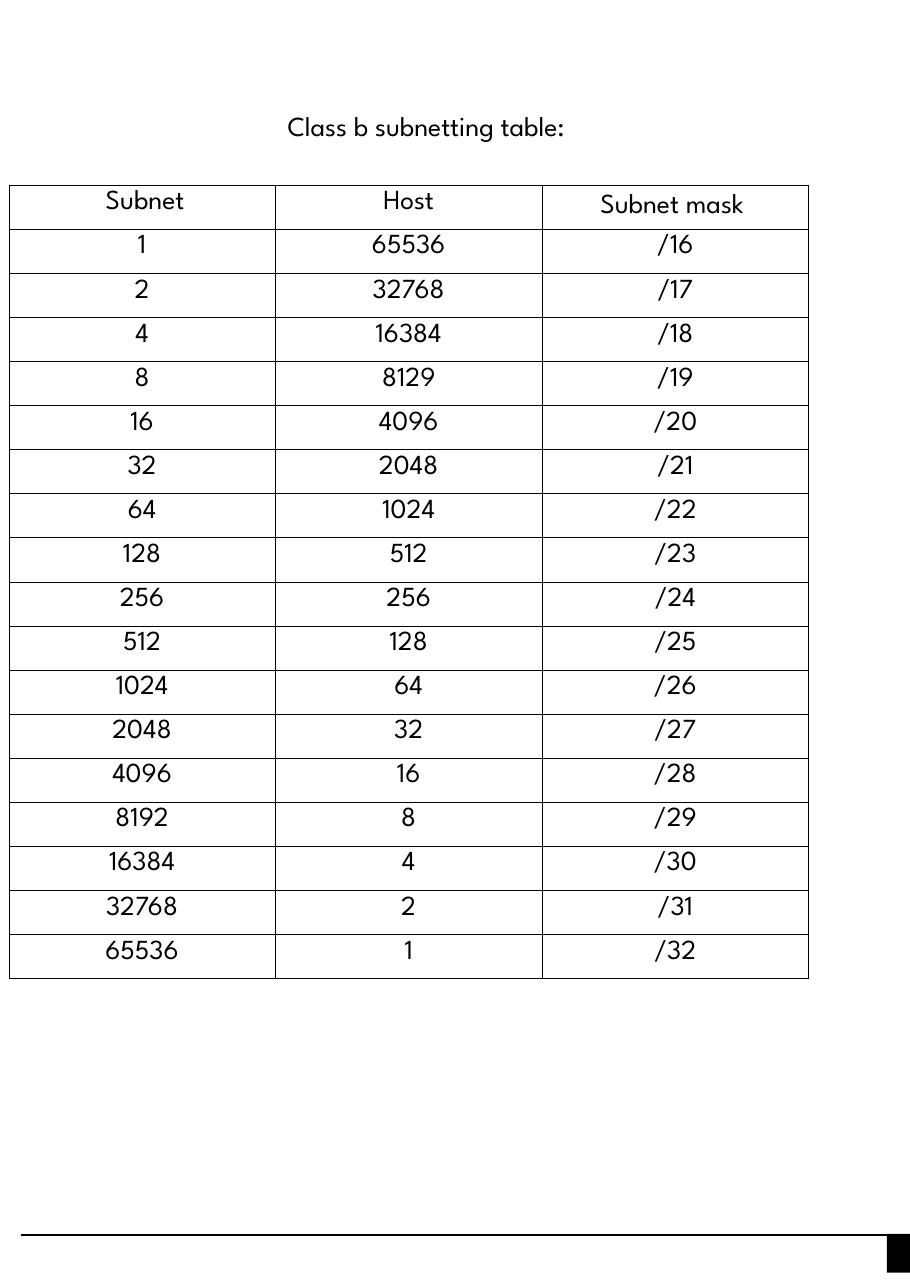
from lxml.etree import SubElement
from pptx import Presentation
from pptx.dml.color import RGBColor
from pptx.enum.shapes import MSO_CONNECTOR, MSO_SHAPE
from pptx.enum.text import MSO_ANCHOR, MSO_AUTO_SIZE, PP_ALIGN
from pptx.oxml import parse_xml
from pptx.oxml.ns import nsdecls, qn
from pptx.util import Inches, Pt

BLACK = "000000"


def color(value):
    return RGBColor.from_string(value)


def write(paragraph, text, alignment):
    paragraph.text = text
    paragraph.alignment = alignment
    paragraph.font.name = "League Spartan"
    paragraph.font.size = Pt(18)
    paragraph.font.color.rgb = color(BLACK)


deck = Presentation()
deck.slide_width, deck.slide_height = Inches(8.26), Inches(11.69)
page = deck.slides.add_slide(deck.slide_layouts[5])

# Footer block and rule
block = page.shapes.add_shape(
    MSO_SHAPE.RECTANGLE, Inches(8.05), Inches(11.2), Inches(0.22), Inches(0.35))
block.shadow.inherit = False
block.fill.solid()
block.fill.fore_color.rgb = color(BLACK)
block.line.fill.background()

rule = page.shapes.add_connector(
    MSO_CONNECTOR.STRAIGHT, Inches(0.19), Inches(11.21), Inches(8.05), Inches(11.21))
rule.line.color.rgb = color(BLACK)
rule.line.width = Pt(1.56)
SubElement(rule._element.spPr, qn("a:effectLst"))

# Title
title = page.shapes.title
title.left, title.top = Inches(2.6), Inches(0.99)
title.width, title.height = Inches(3.01), Inches(0.3)
frame = title.text_frame
frame.margin_left = Inches(0.01)
frame.margin_right = frame.margin_top = frame.margin_bottom = 0
frame.auto_size = MSO_AUTO_SIZE.NONE
frame.word_wrap = True
frame.vertical_anchor = MSO_ANCHOR.BOTTOM
write(frame.paragraphs[0], "Class b subnetting table:", PP_ALIGN.LEFT)

# Table values: subnets double while hosts halve
rows = [["Subnet", "Host", "Subnet mask"]]
for bits in range(17):
    rows.append([str(2 ** bits), str(2 ** (16 - bits)), f"/{16 + bits}"])
rows[4][1] = "8129"  # value as printed in the table

# Subnetting table
table = page.shapes.add_table(
    len(rows), 3, Inches(0.08), Inches(1.68),
    Inches(3 * 2.42), Inches(len(rows) * 0.4)).table
table.first_row = table.horz_banding = False
for column in table.columns:
    column.width = Inches(2.42)
for row_index, values in enumerate(rows):
    table.rows[row_index].height = Inches(0.4)
    for column_index, value in enumerate(values):
        cell = table.cell(row_index, column_index)
        write(cell.text_frame.paragraphs[0], value, PP_ALIGN.CENTER)
        properties = cell._tc.get_or_add_tcPr()
        for side in ("lnL", "lnR", "lnT", "lnB"):
            properties.append(parse_xml(
                f'<a:{side} {nsdecls("a")} w="{Pt(0.28)}"><a:solidFill>'
                f'<a:srgbClr val="{BLACK}"/></a:solidFill></a:{side}>'))
        cell.fill.background()

# Indented headers
for column_index, indent in ((0, 0.88), (2, 0.53)):
    header = table.cell(0, column_index)
    header.margin_left = Inches(indent)
    header.text_frame.paragraphs[0].alignment = PP_ALIGN.LEFT
table.cell(0, 2).vertical_anchor = MSO_ANCHOR.MIDDLE

deck.save("out.pptx")
